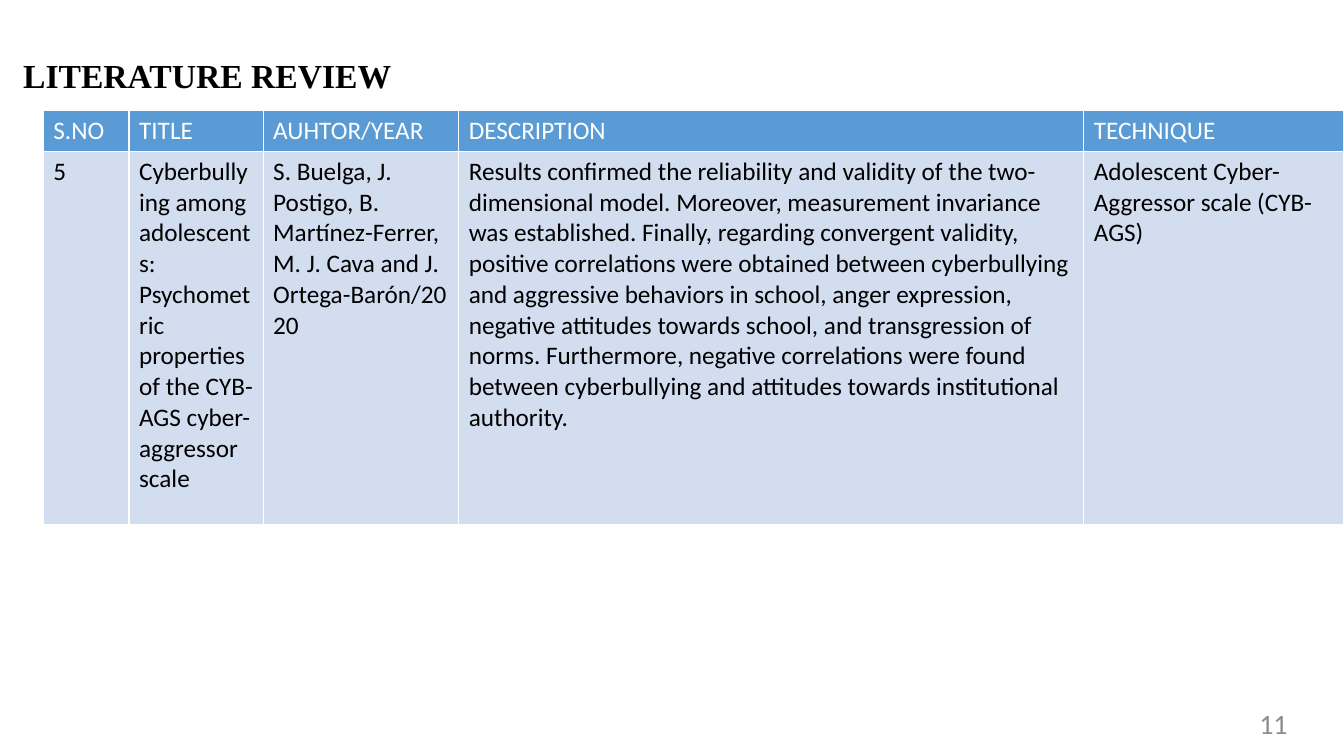
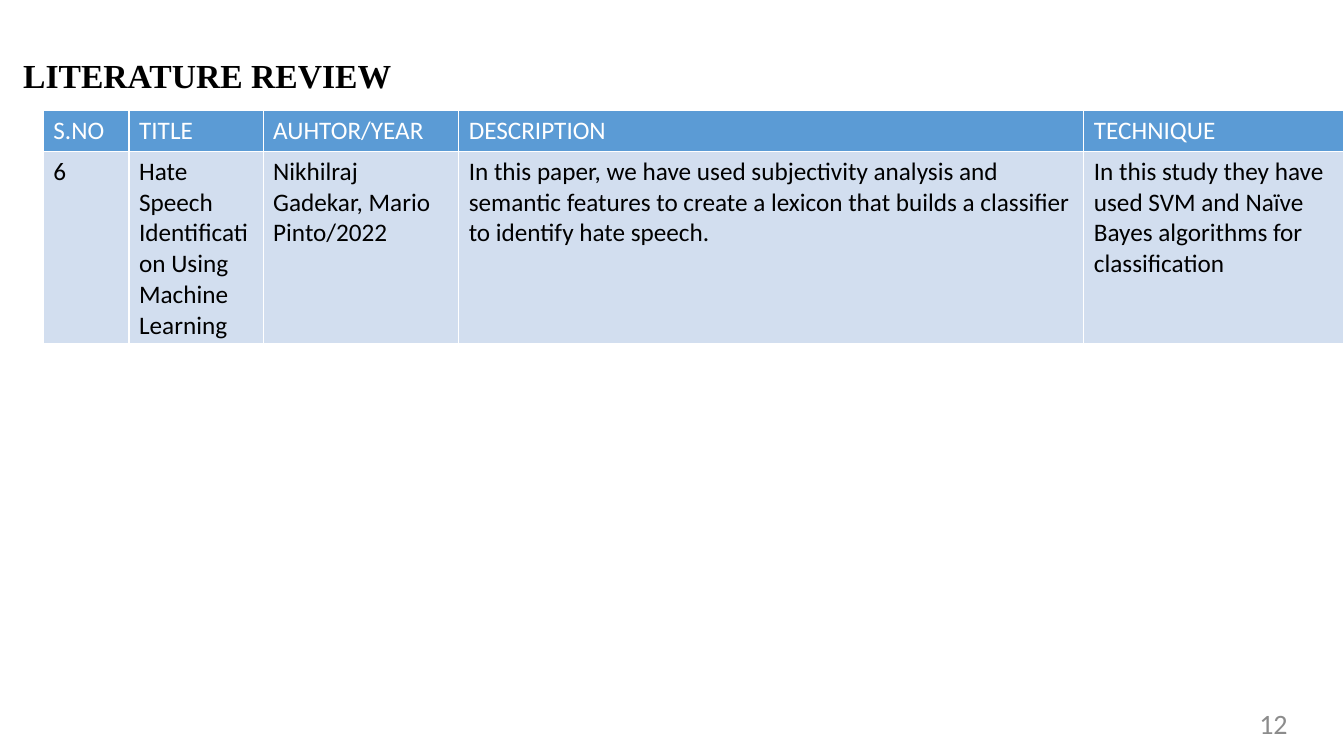
from lxml import etree
from pptx import Presentation
from pptx.dml.color import RGBColor
from pptx.enum.text import MSO_ANCHOR, MSO_AUTO_SIZE, PP_ALIGN
from pptx.oxml.ns import qn
from pptx.util import Inches, Pt

MIDDLE = MSO_ANCHOR.MIDDLE
GROW = MSO_AUTO_SIZE.SHAPE_TO_FIT_TEXT
LEFT, RIGHT = PP_ALIGN.LEFT, PP_ALIGN.RIGHT
TITLE_ONLY = 5

WHITE, BLACK, GREY = "FFFFFF", "000000", "8C8C8C"
HEADER_FILL, BODY_FILL = "5B9BD5", "D2DEEF"
BODY_FONT, TITLE_FONT = "Calibri", "Times New Roman"

# Boxes: left, top, width, height
TITLE_BOX = (0.13, 0.33, 7.69, 0.63)
NUMBER_BOX = (11.44, 6.98, 1.43, 0.4)
TABLE_LEFT, TABLE_TOP = 0.43, 1.1
COLUMNS = (0.85, 1.33, 1.94, 6.2, 2.58)
HEADER_HEIGHT = 0.4
HEADINGS = ("S.NO", "TITLE", "AUHTOR/YEAR", "DESCRIPTION", "TECHNIQUE")

# Slide number, height of the entry row, entry
REVIEWS = (
    (11, 3.7, (
        "5",
        "Cyberbullying among adolescents: Psychometric properties of the "
        "CYB-AGS cyber-aggressor scale",
        "S. Buelga, J. Postigo, B. Martínez-Ferrer, M. J. Cava and "
        "J. Ortega-Barón/2020",
        "Results confirmed the reliability and validity of the two-dimensional "
        "model. Moreover, measurement invariance was established. Finally, "
        "regarding convergent validity, positive correlations were obtained "
        "between cyberbullying and aggressive behaviors in school, anger "
        "expression, negative attitudes towards school, and transgression of "
        "norms. Furthermore, negative correlations were found between "
        "cyberbullying and attitudes towards institutional authority.",
        "Adolescent Cyber-Aggressor scale (CYB-AGS)",
    )),
    (12, 1.91, (
        "6",
        "Hate Speech Identification Using Machine Learning",
        "Nikhilraj Gadekar, Mario Pinto/2022",
        "In this paper, we have used subjectivity analysis and semantic "
        "features to create a lexicon that builds a classifier to identify "
        "hate speech.",
        "In this study they have used SVM and Naïve Bayes algorithms for "
        "classification",
    )),
)


def rgb(color):
    return RGBColor.from_string(color)


def add_run(p, text, size, color, font=BODY_FONT, bold=False):
    r = p.add_run()
    r.text = text
    r.font.size, r.font.name, r.font.bold = Pt(size), font, bold
    r.font.color.rgb = rgb(color)


def add_title(slide, box, text):
    sp = slide.shapes.title
    sp.left, sp.top, sp.width, sp.height = map(Inches, box)
    tf = sp.text_frame
    tf.word_wrap, tf.auto_size, tf.vertical_anchor = True, GROW, MIDDLE
    p = tf.paragraphs[0]
    p.alignment, p.line_spacing = LEFT, 1.5
    add_run(p, text, 24, BLACK, TITLE_FONT, True)


def add_number(slide, box, number):
    tf = slide.shapes.add_textbox(*map(Inches, box)).text_frame
    tf.word_wrap, tf.vertical_anchor = True, MIDDLE
    p = tf.paragraphs[0]
    p.alignment = RIGHT
    add_run(p, str(number), 20, GREY)


def set_borders(cell, color, width):
    tcPr = cell._tc.get_or_add_tcPr()
    for side in ("lnL", "lnR", "lnT", "lnB"):
        ln = etree.SubElement(tcPr, qn("a:" + side), w=str(Pt(width)))
        fill = etree.SubElement(ln, qn("a:solidFill"))
        etree.SubElement(fill, qn("a:srgbClr"), val=color)


def add_review_table(slide, box, columns, entry):
    # Header row and entry row share the height of the box
    rows = ((HEADINGS, HEADER_HEIGHT, HEADER_FILL, WHITE),
            (entry, box[3] - HEADER_HEIGHT, BODY_FILL, BLACK))
    table = slide.shapes.add_table(len(rows), len(columns),
                                   *map(Inches, box)).table
    for column, width in zip(table.columns, columns):
        column.width = Inches(width)
    for row, (texts, height, fill, color) in zip(table.rows, rows):
        row.height = Inches(height)
        for cell, text in zip(row.cells, texts):
            set_borders(cell, WHITE, 1)
            cell.fill.solid()
            cell.fill.fore_color.rgb = rgb(fill)
            add_run(cell.text_frame.paragraphs[0], text, 18, color)


def add_review_slide(prs, number, entry_height, entry):
    slide = prs.slides.add_slide(prs.slide_layouts[TITLE_ONLY])
    add_number(slide, NUMBER_BOX, number)
    add_title(slide, TITLE_BOX, "LITERATURE REVIEW")
    table_box = (TABLE_LEFT, TABLE_TOP, sum(COLUMNS),
                 HEADER_HEIGHT + entry_height)
    add_review_table(slide, table_box, COLUMNS, entry)


def main():
    prs = Presentation()
    prs.slide_width, prs.slide_height = Inches(13.33), Inches(7.5)
    for number, entry_height, entry in REVIEWS:
        add_review_slide(prs, number, entry_height, entry)
    prs.save("out.pptx")


if __name__ == "__main__":
    main()
